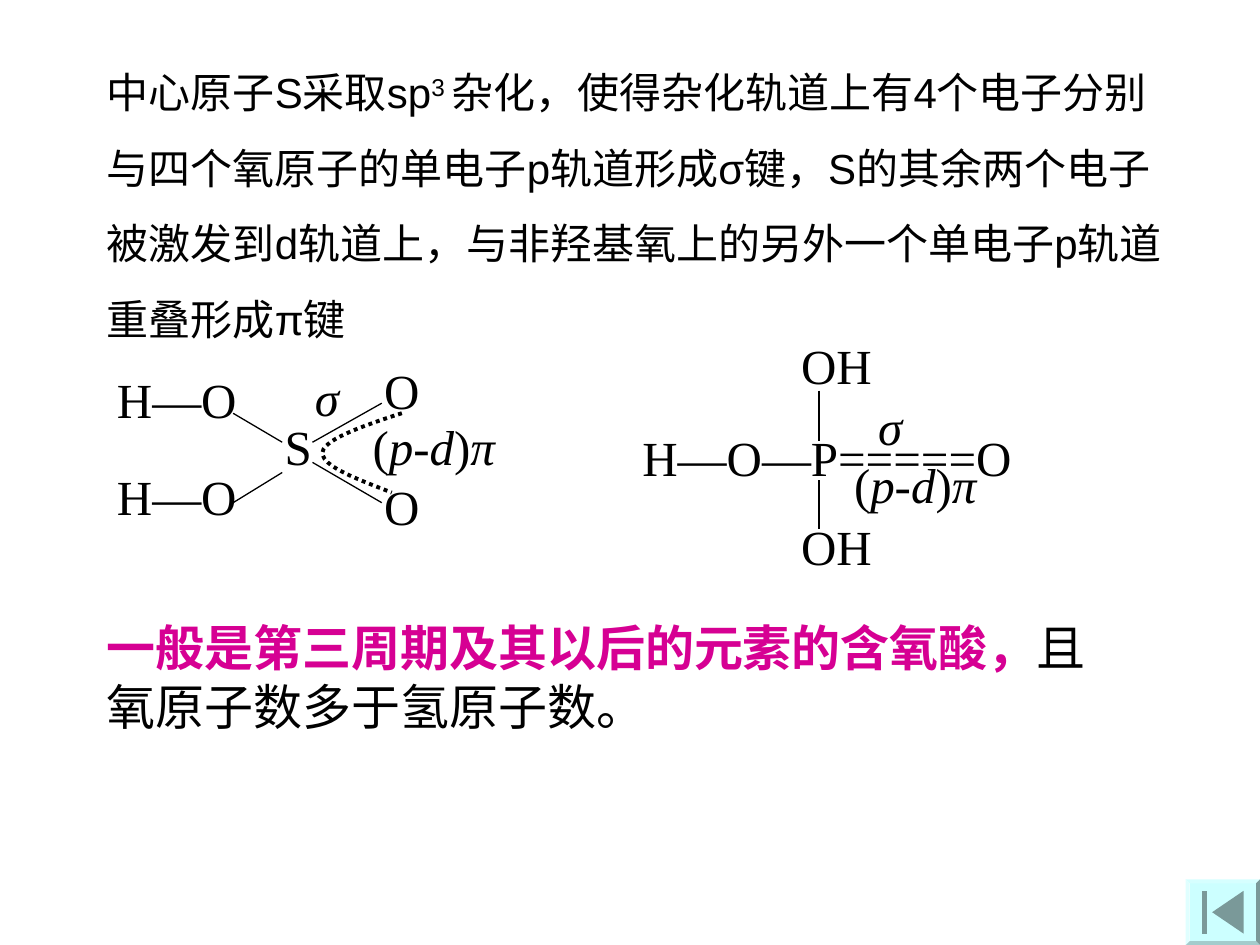
from pptx import Presentation
from pptx import util as u
from pptx.dml.color import RGBColor
from pptx.enum import dml, shapes, text
from lxml import etree

BLACK = RGBColor(0x00, 0x00, 0x00)
PINK = RGBColor(0xD6, 0x00, 0x93)
AQUA = RGBColor(0xCC, 0xFF, 0xFF)
SLATE = RGBColor(0x7A, 0x99, 0x99)
ARIAL, TIMES = "Arial", "Times New Roman"

deck = Presentation()
deck.slide_width, deck.slide_height = u.Inches(10), u.Inches(7.5)
slide = deck.slides.add_slide(deck.slide_layouts[6])


def add_text(x, y, w, h, parts, size=28, face=TIMES, wrap=True):
    """Add a text box; parts holds (words, style) pairs."""
    box = slide.shapes.add_textbox(*map(u.Inches, (x, y, w, h)))
    frame = box.text_frame
    frame.word_wrap = wrap
    frame.auto_size = text.MSO_AUTO_SIZE.SHAPE_TO_FIT_TEXT
    para = frame.paragraphs[0]
    for words, style in parts:
        run = para.add_run()
        run.text = words
        font = run.font
        font.size, font.name = u.Pt(size), face
        font.color.rgb = PINK if style == "key" else BLACK
        font.bold = style == "key"
        font.italic = style == "italic"
        if style == "super":
            run._r.get_or_add_rPr().set("baseline", "30000")
    return para


def add_path(points, close):
    """Add a freeform through points given in inches."""
    spots = [(u.Inches(x), u.Inches(y)) for x, y in points]
    pen = slide.shapes.build_freeform(*spots[0], scale=1.0)
    pen.add_line_segments(spots[1:], close=close)
    shape = pen.convert_to_shape()
    shape.shadow.inherit = False
    return shape


# Atoms of both molecules
for x, y, w, name in [
    (0.83, 2.88, 1.18, "H—O"), (0.83, 3.65, 1.18, "H—O"),
    (2.16, 3.26, 0.39, "S"),
    (2.95, 2.81, 0.79, "O"), (2.95, 3.73, 0.55, "O"),
    (5, 3.34, 3.31, "H—O—P=====O"),
    (6.26, 2.61, 0.87, "OH"), (6.26, 4.05, 0.87, "OH"),
]:
    add_text(x, y, w, 0.57, [(name, "")])

# Single bonds
for ends in [
    (1.85, 3.28, 2.24, 3.51), (1.85, 3.99, 2.24, 3.75),
    (2.48, 3.51, 3.03, 3.2), (2.48, 3.67, 3.03, 3.99),
    (6.5, 3.1, 6.5, 3.5), (6.5, 3.81, 6.5, 4.2),
]:
    bond = slide.shapes.add_connector(
        shapes.MSO_CONNECTOR.STRAIGHT, *map(u.Inches, ends))
    bond.line.color.rgb = BLACK
    bond.line.width = u.Pt(0.75)
    etree.SubElement(
        bond._element.spPr,
        "{http://schemas.openxmlformats.org/drawingml/2006/main}effectLst")

# Dotted pi bond, sampled from two Bezier curves
curves = [
    [(3.19, 3.28), (2.88, 3.38), (2.57, 3.49), (2.56, 3.59)],
    [(2.56, 3.59), (2.55, 3.7), (2.83, 3.8), (3.11, 3.91)],
]
steps = 12
dots = [curves[0][0]]
for a, b, c, d in curves:
    for i in range(1, steps + 1):
        t = i / steps
        s = 1 - t
        dots.append(tuple(
            s**3 * a[k] + 3 * s * s * t * b[k] + 3 * s * t * t * c[k] + t**3 * d[k]
            for k in (0, 1)))
arc = add_path(dots, False)
arc.fill.background()
arc.line.color.rgb = BLACK
arc.line.width = u.Pt(2.25)
arc.line.dash_style = dml.MSO_LINE.ROUND_DOT

# Sigma and pi bond labels
for x, y in [(2.4, 2.87), (6.87, 3.1)]:
    add_text(x, y, 0.39, 0.57, [("σ", "italic")], wrap=False)
for x, y in [(2.86, 3.26), (6.68, 3.56)]:
    add_text(x, y, 1.17, 0.57,
             [("(", ""), ("p-d", "italic"), (")", ""), ("π", "italic")],
             wrap=False)

# Conclusion
add_text(0.75, 4.85, 8.11, 1.04, [
    ("一般是第三周期及其以后的元素的含氧酸，", "key"),
    ("且氧原子数多于氢原子数。", ""),
])

# Return button: bevelled plate, arrow and bar
plate = slide.shapes.add_shape(
    shapes.MSO_SHAPE.BEVEL, *map(u.Inches, (9.41, 6.98, 0.59, 0.52)))
plate.adjustments[0] = 0.06
plate.shadow.inherit = False
arrow = add_path([(9.62, 7.24), (9.87, 7.07), (9.87, 7.41)], True)
bar = add_path([(9.54, 7.07), (9.58, 7.07), (9.58, 7.41), (9.54, 7.41)], True)
for part, tint in [(plate, AQUA), (arrow, SLATE), (bar, SLATE)]:
    part.fill.solid()
    part.fill.fore_color.rgb = tint
    part.line.fill.background()

# Explanation
body = add_text(0.75, 0.28, 8.58, 2.5, [
    ("中心原子S采取sp", ""),
    ("3 ", "super"),
    ("杂化，使得杂化轨道上有4个电子分别与四个氧原子的单电子p轨道形成σ键，"
     "S的其余两个电子被激发到d轨道上，与非羟基氧上的另外一个单电子p轨道重叠形成π键", ""),
], size=24, face=ARIAL)
body.line_spacing = 1.5

deck.save("out.pptx")
